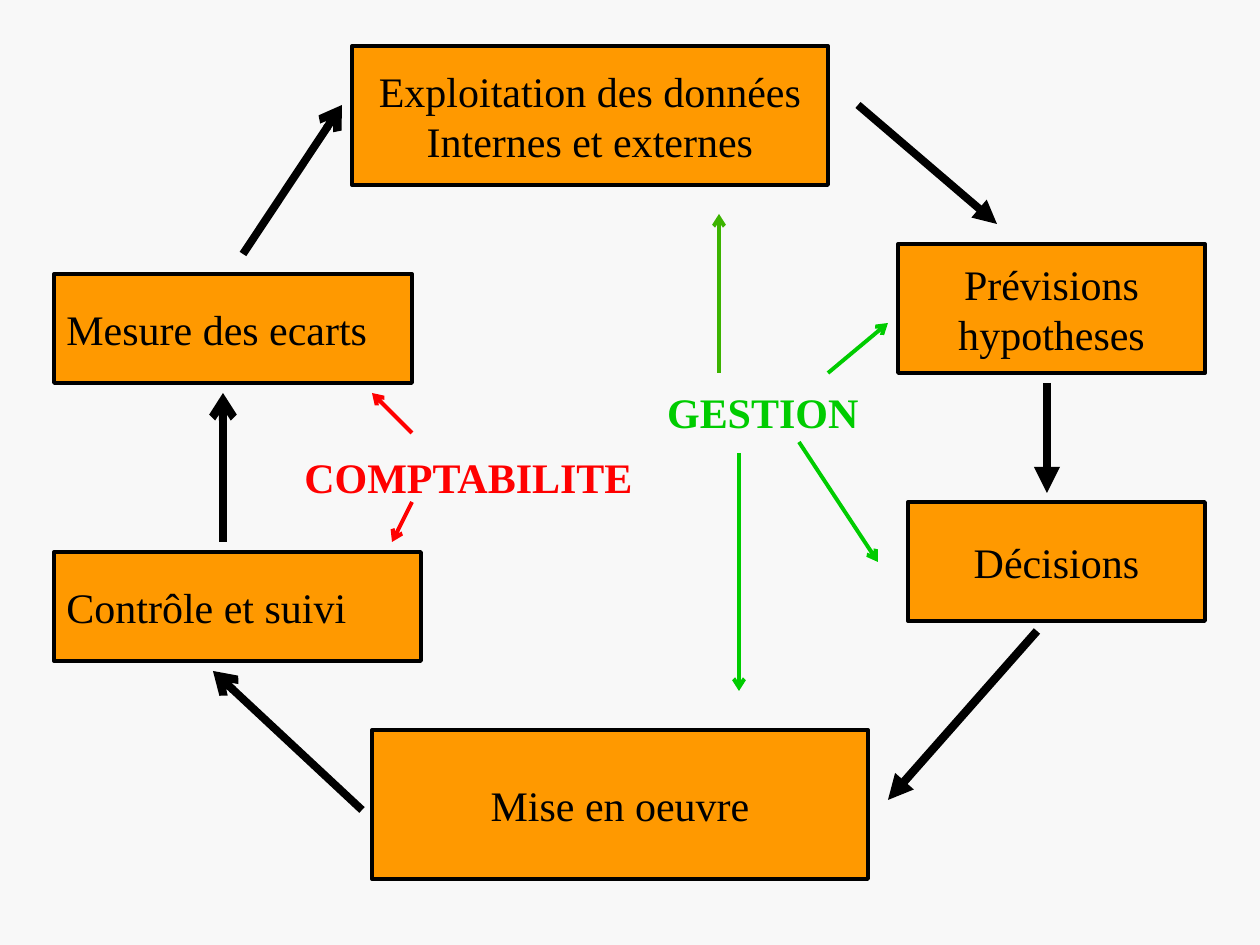
"""Build a slide showing the management cycle with accounting and management links."""
from dataclasses import dataclass

from lxml.etree import SubElement
from pptx import Presentation
from pptx.dml.color import RGBColor
from pptx.enum.shapes import MSO_CONNECTOR, MSO_SHAPE
from pptx.enum.text import MSO_ANCHOR, PP_ALIGN
from pptx.oxml.ns import qn
from pptx.util import Pt

EMU_PER_PX = 914400 / 126
FONT_NAME = "Times New Roman"
COLORS = {
    "background": "F8F8F8",
    "box": "FF9900",
    "black": "000000",
    "green": "00CC00",
    "dark_green": "3CB300",
    "red": "FF0000",
}


@dataclass(frozen=True)
class Step:
    text: str
    left: int
    top: int
    width: int
    height: int
    align: PP_ALIGN = PP_ALIGN.CENTER


@dataclass(frozen=True)
class Label:
    text: str
    outline: MSO_SHAPE
    left: int
    top: int
    width: int
    height: int
    color: str


@dataclass(frozen=True)
class Arrow:
    start: tuple[int, int]
    end: tuple[int, int]
    color: str = "black"
    width: float = 4.5
    head: str = "arrow"


STEPS = [
    Step("Exploitation des données\nInternes et externes", 352, 46, 476, 139),
    Step("Prévisions\nhypotheses", 898, 244, 307, 129),
    Step("Décisions", 908, 502, 297, 119),
    Step("Mise en oeuvre", 372, 730, 496, 149),
    Step("Contrôle et suivi", 54, 552, 367, 109, PP_ALIGN.LEFT),
    Step("Mesure des ecarts", 54, 274, 358, 109, PP_ALIGN.LEFT),
]
MANAGEMENT_LABEL = Label("GESTION", MSO_SHAPE.OVAL, 630, 334, 169, 156, "green")
ACCOUNTING_LABEL = Label("COMPTABILITE", MSO_SHAPE.RECTANGLE, 292, 452, 278, 49, "red")
CYCLE_ARROWS = [
    Arrow((858, 105), (997, 224), head="triangle"),
    Arrow((1047, 383), (1047, 493), width=5, head="triangle"),
    Arrow((1037, 631), (888, 800), width=4.75, head="triangle"),
    Arrow((362, 810), (213, 671)),
    Arrow((223, 542), (223, 393)),
    Arrow((243, 254), (342, 105)),
]
MANAGEMENT_ARROWS = [
    Arrow((719, 373), (719, 214), "dark_green", 2.25),
    Arrow((828, 373), (888, 323), "green", 2.25),
    Arrow((799, 442), (878, 562), "green", 2.25),
    Arrow((739, 453), (739, 691), "green", 2.25),
]
ACCOUNTING_ARROWS = [
    Arrow((412, 433), (372, 393), "red", 2.25),
    Arrow((412, 502), (392, 542), "red", 2.25),
]


def px(length: int) -> int:
    """Turn pixels into EMU."""
    return round(length * EMU_PER_PX)


def rgb(name: str) -> RGBColor:
    """Look up a colour by name."""
    return RGBColor.from_string(COLORS[name])


def write_text(shape, text: str, *, color: str = "black", bold: bool = False,
               align: PP_ALIGN = PP_ALIGN.LEFT) -> None:
    """Put formatted, unwrapped text in a shape, one paragraph a line."""
    frame = shape.text_frame
    frame.text = text
    frame.word_wrap = False
    frame.vertical_anchor = MSO_ANCHOR.MIDDLE
    for paragraph in frame.paragraphs:
        paragraph.alignment = align
        font = paragraph.font
        font.name = FONT_NAME
        font.size = Pt(24)
        font.bold = bold
        font.color.rgb = rgb(color)


def add_outline(slide, outline: MSO_SHAPE, place: Step | Label):
    """Add a preset shape without a shadow."""
    shape = slide.shapes.add_shape(
        outline, px(place.left), px(place.top), px(place.width), px(place.height))
    shape.shadow.inherit = False
    return shape


def add_step(slide, step: Step) -> None:
    """Draw one box of the cycle."""
    shape = add_outline(slide, MSO_SHAPE.RECTANGLE, step)
    shape.fill.solid()
    shape.fill.fore_color.rgb = rgb("box")
    shape.line.color.rgb = rgb("black")
    shape.line.width = Pt(2.25)
    write_text(shape, step.text, align=step.align)


def add_label(slide, label: Label) -> None:
    """Draw a bold label in a shape without fill or line."""
    shape = add_outline(slide, label.outline, label)
    shape.fill.background()
    shape.line.fill.background()
    write_text(shape, label.text, color=label.color, bold=True)


def add_arrow(slide, arrow: Arrow) -> None:
    """Draw a straight line with a head at its end."""
    connector = slide.shapes.add_connector(
        MSO_CONNECTOR.STRAIGHT, *map(px, arrow.start + arrow.end))
    connector.line.color.rgb = rgb(arrow.color)
    connector.line.width = Pt(arrow.width)
    SubElement(connector.line._get_or_add_ln(), qn("a:tailEnd"), type=arrow.head)
    SubElement(connector._element.spPr, qn("a:effectLst"))


def main() -> None:
    """Build and save the presentation."""
    presentation = Presentation()
    presentation.slide_width = px(1260)
    presentation.slide_height = px(945)
    slide = presentation.slides.add_slide(presentation.slide_layouts[6])
    slide.background.fill.solid()
    slide.background.fill.fore_color.rgb = rgb("background")
    for step in STEPS:
        add_step(slide, step)
    add_label(slide, MANAGEMENT_LABEL)
    for arrow in CYCLE_ARROWS + MANAGEMENT_ARROWS:
        add_arrow(slide, arrow)
    add_label(slide, ACCOUNTING_LABEL)
    for arrow in ACCOUNTING_ARROWS:
        add_arrow(slide, arrow)
    presentation.save("out.pptx")


if __name__ == "__main__":
    main()
